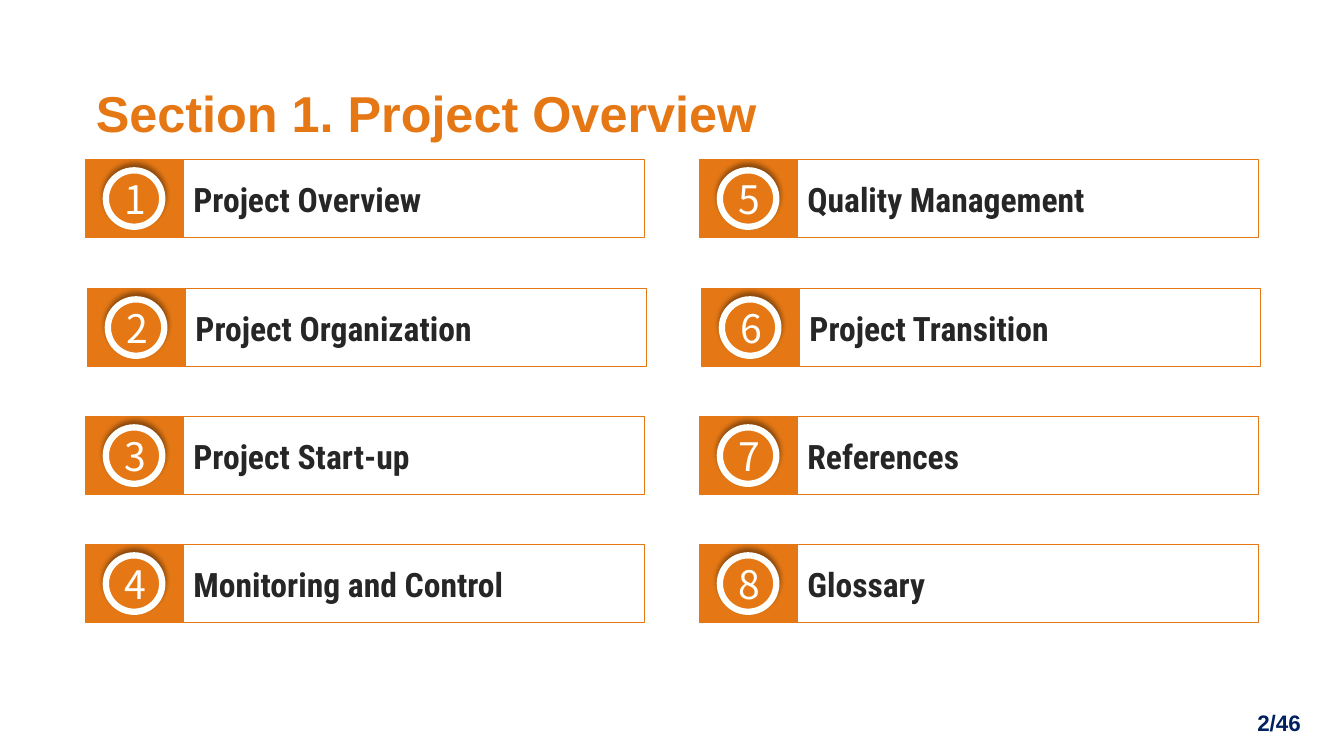
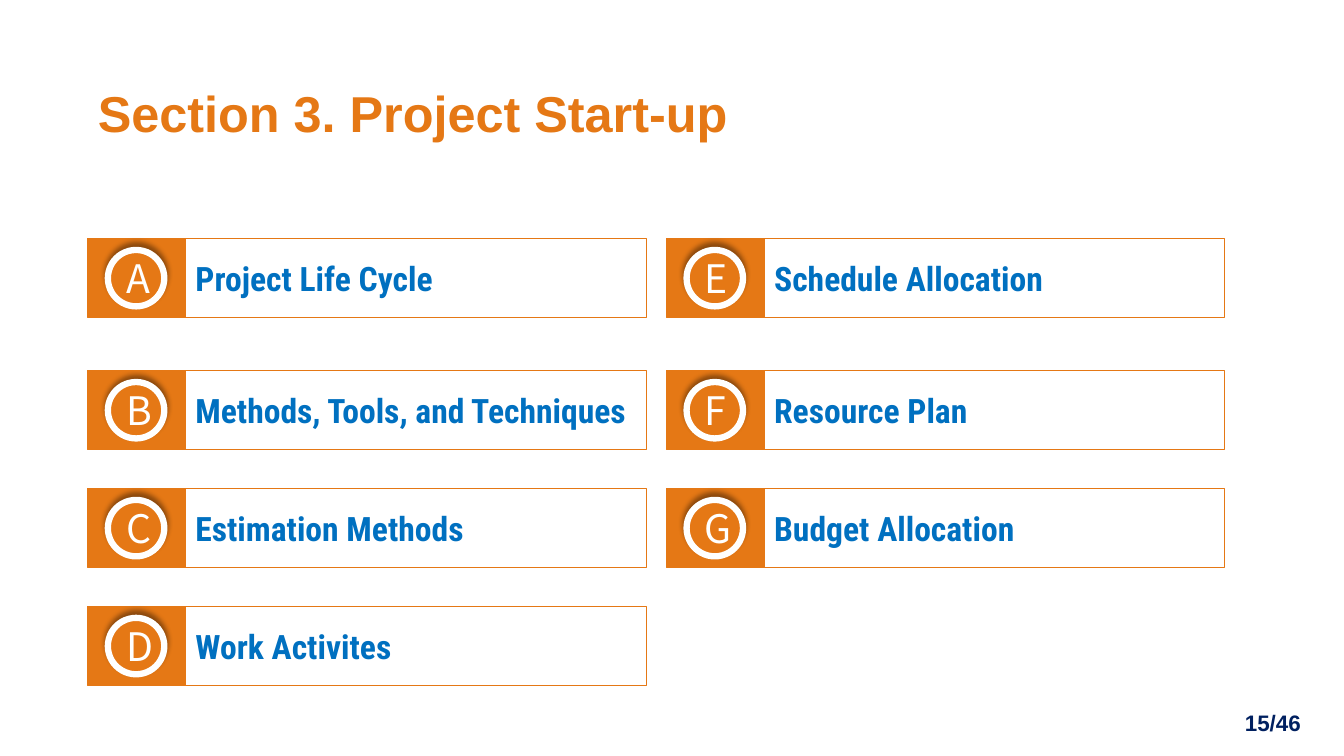
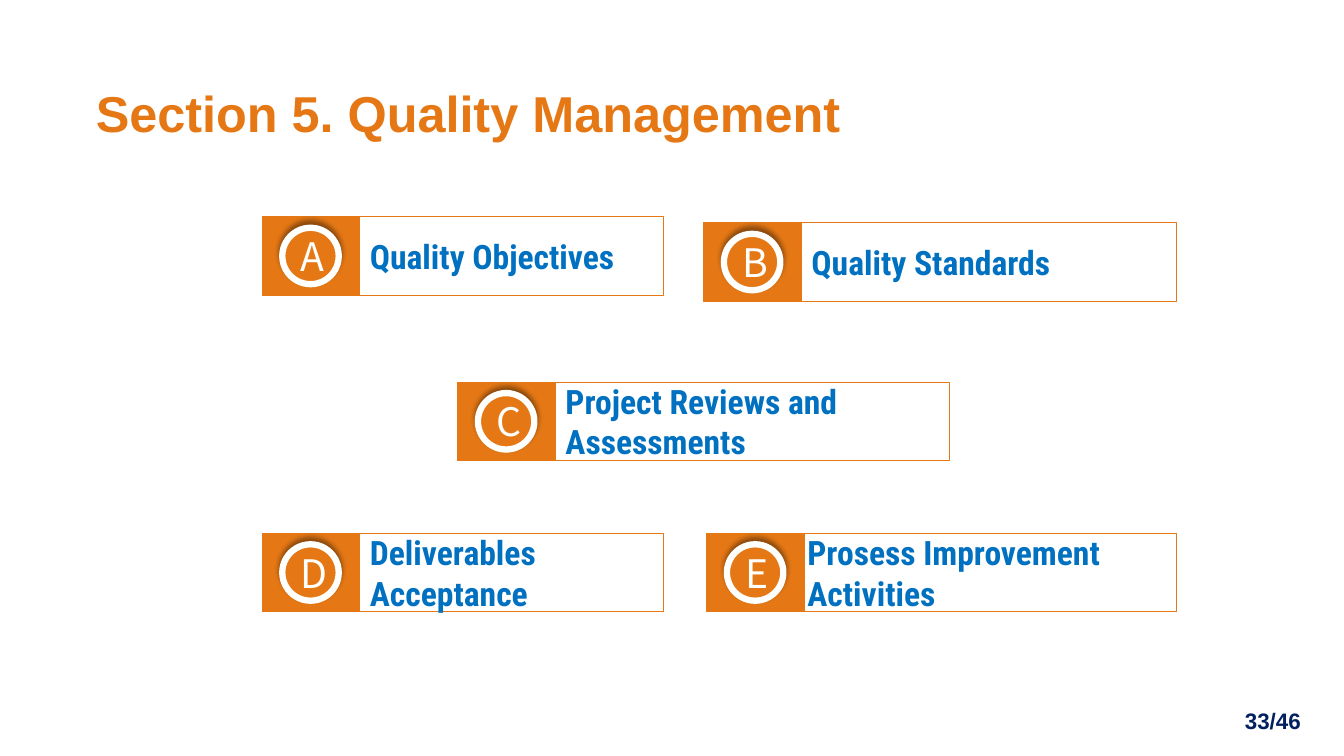
from itertools import product
from lxml.etree import SubElement
from pptx import Presentation
from pptx.dml.color import RGBColor
from pptx.enum.shapes import MSO_SHAPE
from pptx.enum.text import MSO_ANCHOR, MSO_AUTO_SIZE, PP_ALIGN
from pptx.oxml.ns import qn
from pptx.util import Inches, Pt

COLORS = {
    "orange": "E57815",
    "white": "FFFFFE",
    "dark": "262626",
    "blue": "0070C0",
    "navy": "002060",
}
SQUARE_WIDTH, CARD_HEIGHT, RING_SIZE = 0.97, 0.78, 0.56
LABEL_WIDTH = 4.57


def style(frame, size, face, color, align, bold=True, anchor=MSO_ANCHOR.MIDDLE):
    frame.word_wrap = True
    frame.auto_size = MSO_AUTO_SIZE.NONE
    frame.vertical_anchor = anchor
    paragraph = frame.paragraphs[0]
    paragraph.alignment = align
    font = paragraph.font
    font.size, font.name, font.bold = Pt(size), face, bold
    font.color.rgb = RGBColor.from_string(COLORS[color])


def add_box(slide, preset, left, top, width, height, fill, line, line_width):
    box = slide.shapes.add_shape(
        preset, Inches(left), Inches(top), Inches(width), Inches(height))
    if fill:
        box.fill.solid()
        box.fill.fore_color.rgb = RGBColor.from_string(COLORS[fill])
    else:
        box.fill.background()
    box.line.color.rgb = RGBColor.from_string(COLORS[line])
    box.line.width = Pt(line_width)
    box.shadow.inherit = False
    return box


overview_rows = [(0.85, 1.58), (0.87, 2.86), (0.85, 4.13), (0.85, 5.4)]
startup_rows = [(0.87, 2.37), (0.87, 3.68), (0.87, 4.85), (0.87, 6.02)]

sections = [
    {
        "title": "Section 1. Project Overview", "title_left": 0.85,
        "page": "2/46", "page_top": 6.97,
        "markers": "12345678", "color": "dark",
        "labels": ["Project Overview", "Project Organization",
                   "Project Start-up", "Monitoring and Control",
                   "Quality Management", "Project Transition",
                   "References", "Glossary"],
        "places": [(left + shift, top, left + shift + SQUARE_WIDTH, LABEL_WIDTH)
                   for shift, (left, top) in product((0, 6.09), overview_rows)],
    },
    {
        "title": "Section 3. Project Start-up", "title_left": 0.87,
        "page": "15/46", "page_top": 6.97,
        "markers": "ABCDEFG", "color": "blue",
        "labels": ["Project Life Cycle", "Methods, Tools, and Techniques",
                   "Estimation Methods", "Work Activites",
                   "Schedule Allocation", "Resource Plan",
                   "Budget Allocation"],
        "places": [(left + shift, top, left + shift + SQUARE_WIDTH, LABEL_WIDTH)
                   for shift, (left, top) in product((0, 5.74), startup_rows)][:7],
    },
    {
        "title": "Section 5. Quality Management", "title_left": 0.85,
        "page": "33/46", "page_top": 6.95,
        "markers": "ABCDE", "color": "blue",
        "labels": ["Quality Objectives", "Quality Standards",
                   "Project Reviews and Assessments",
                   "Deliverables Acceptance",
                   "Prosess Improvement Activities"],
        "places": [(2.6, 2.15, 3.57, 3.01), (6.98, 2.21, 7.95, 3.72),
                   (4.54, 3.79, 5.51, 3.91), (2.6, 5.29, 3.57, 3.01),
                   (7.01, 5.29, 7.91, 3.76)],
    },
]

deck = Presentation()
deck.slide_width, deck.slide_height = Inches(13.33), Inches(7.5)

for section in sections:
    slide = deck.slides.add_slide(deck.slide_layouts[5])

    title = slide.shapes.title
    title.left, title.top = Inches(section["title_left"]), Inches(0.83)
    title.width, title.height = Inches(9.52), Inches(0.93)
    title.text_frame.text = section["title"]
    style(title.text_frame, 36, "Arial", "orange", PP_ALIGN.LEFT,
          anchor=MSO_ANCHOR.TOP)
    title.text_frame.paragraphs[0].line_spacing = 0.9

    page = slide.shapes.add_textbox(
        Inches(8.5), Inches(section["page_top"]), Inches(4.5), Inches(0.4))
    page.text_frame.text = section["page"]
    style(page.text_frame, 16, "Arial", "navy", PP_ALIGN.RIGHT)

    for marker, label, place in zip(
            section["markers"], section["labels"], section["places"]):
        left, top, label_left, label_width = place
        add_box(slide, MSO_SHAPE.RECTANGLE, left, top, SQUARE_WIDTH,
                CARD_HEIGHT, "orange", "orange", 0.75)

        ring = add_box(slide, MSO_SHAPE.OVAL, left + 0.2, top + 0.11,
                       RING_SIZE, RING_SIZE, "orange", "white", 4.5)
        ring.text_frame.text = marker
        style(ring.text_frame, 28, "Noto Sans CJK SC", "white",
              PP_ALIGN.CENTER, bold=False)
        effects = ring.element.spPr.find(qn("a:effectLst"))
        shadow = SubElement(effects, qn("a:outerShdw"), blurRad=str(Pt(4)),
                            dist=str(Pt(3)), dir="16200000", rotWithShape="0")
        shade = SubElement(shadow, qn("a:srgbClr"), val="000000")
        SubElement(shade, qn("a:alpha"), val="40000")

        caption = add_box(slide, MSO_SHAPE.RECTANGLE, label_left, top,
                          label_width, CARD_HEIGHT, None, "orange", 0.75)
        caption.text_frame.text = label
        style(caption.text_frame, 24, "Roboto Condensed", section["color"],
              PP_ALIGN.LEFT)

deck.save("out.pptx")
